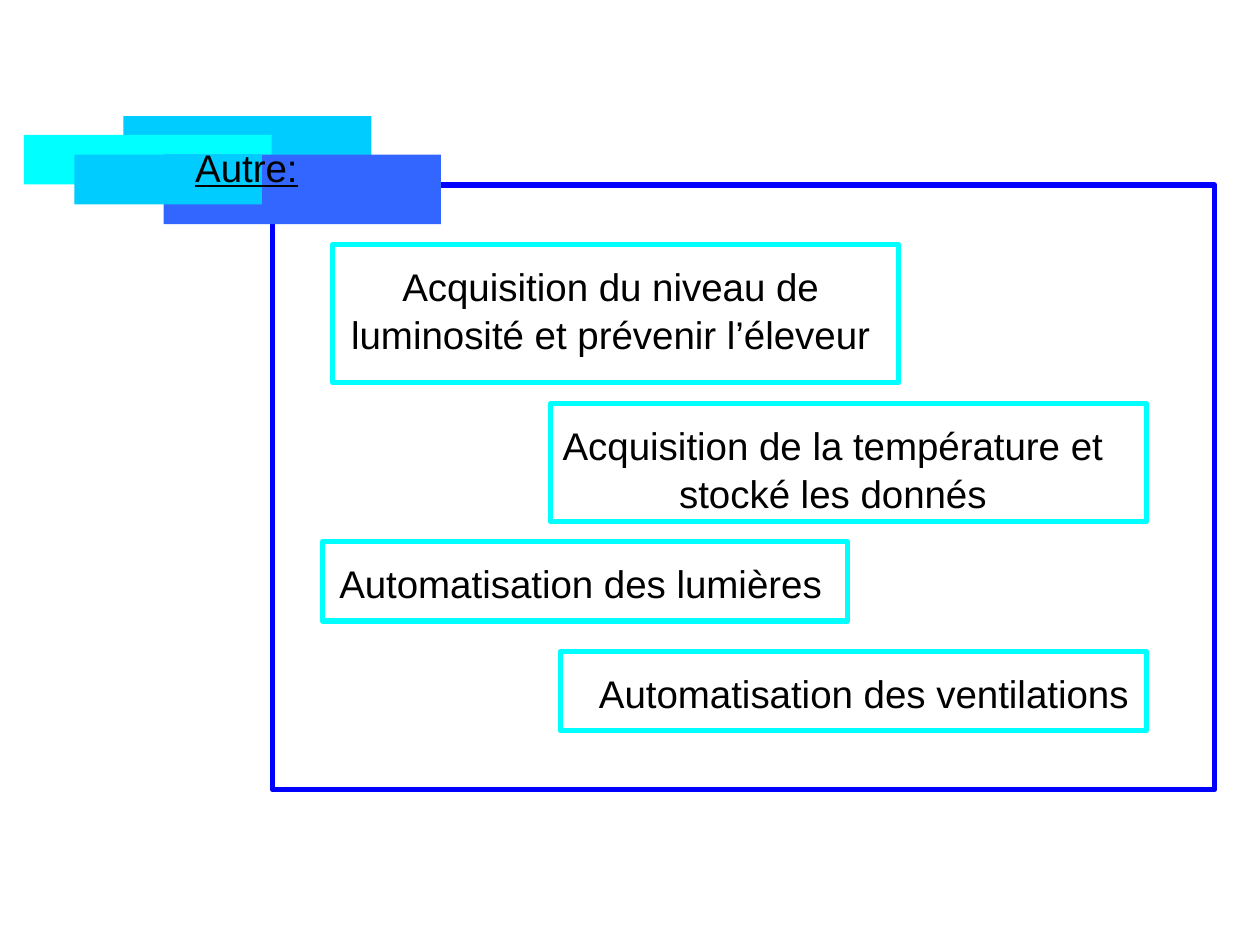
from dataclasses import dataclass

from pptx import Presentation
from pptx.dml.color import RGBColor as Rgb
from pptx.enum import shapes, text
from pptx.util import Cm, Pt


@dataclass(frozen=True)
class Theme:
    font: str = "Arial"
    size: float = 22
    lead: float = 1.05
    edge: float = 3
    ink: str = "000000"
    blue: str = "0000FF"
    royal: str = "3366FF"
    sky: str = "00CCFF"
    cyan: str = "00FFFF"


THEME = Theme()
DROP = 0.2

BARS = [
    (2.49, 2.34, 5, 1.4, THEME.sky),
    (0.48, 2.72, 5, 1, THEME.cyan),
    (3.3, 3.12, 5.59, 1.4, THEME.royal),
    (1.5, 3.12, 3.78, 1, THEME.sky),
]

TASKS = [
    ("Acquisition du niveau de luminosité et prévenir l’éleveur",
     (6.71, 4.93, 11.4, 2.79), (6.71, 11.2, 2.13)),
    ("Acquisition de la température et stocké les donnés",
     (11.1, 8.13, 12.01, 2.39), (10.49, 12.6, 2.13)),
    ("Automatisation des lumières",
     (6.5, 10.92, 10.59, 1.6), (6.5, 10.41, 1.19)),
    ("Automatisation des ventilations",
     (11.3, 13.13, 11.81, 1.6), (11.51, 11.81, 1.19)),
]


def add_rect(slide, area):
    rect = slide.shapes.add_shape(shapes.MSO_SHAPE.RECTANGLE, *map(Cm, area))
    rect.shadow.inherit = False
    return rect


def add_bar(slide, area, color):
    bar = add_rect(slide, area)
    bar.fill.solid()
    bar.fill.fore_color.rgb = Rgb.from_string(color)
    bar.line.fill.background()


def add_frame(slide, area, color):
    frame = add_rect(slide, area)
    frame.fill.background()
    frame.line.color.rgb = Rgb.from_string(color)
    frame.line.width = Pt(THEME.edge)


def write(shape, words, align, under=False):
    body = shape.text_frame
    body.word_wrap = True
    body.auto_size = text.MSO_AUTO_SIZE.SHAPE_TO_FIT_TEXT
    body.vertical_anchor = text.MSO_ANCHOR.TOP
    para = body.paragraphs[0]
    para.alignment = align
    para.line_spacing = THEME.lead
    run = para.add_run()
    run.text = words
    run.font.name = THEME.font
    run.font.size = Pt(THEME.size)
    run.font.underline = under
    run.font.color.rgb = Rgb.from_string(THEME.ink)


def set_title(slide, words, area):
    title = slide.shapes.title
    title.left, title.top, title.width, title.height = map(Cm, area)
    title.element.getparent().append(title.element)
    write(title, words, text.PP_ALIGN.LEFT, under=True)


def add_task(slide, words, area, place):
    left, width, height = place
    box = slide.shapes.add_textbox(
        Cm(left), Cm(area[1] + DROP), Cm(width), Cm(height))
    write(box, words, text.PP_ALIGN.CENTER)
    add_frame(slide, area, THEME.cyan)


def main():
    deck = Presentation()
    deck.slide_width, deck.slide_height = Cm(25.4), Cm(19.05)
    slide = deck.slides.add_slide(deck.slide_layouts[5])
    add_frame(slide, (5.49, 3.73, 19, 12.19), THEME.blue)
    for *area, color in BARS:
        add_bar(slide, area, color)
    set_title(slide, "Autre:", (3.68, 2.72, 3.99, 1.19))
    for words, area, place in TASKS:
        add_task(slide, words, area, place)
    deck.save("out.pptx")


if __name__ == "__main__":
    main()
